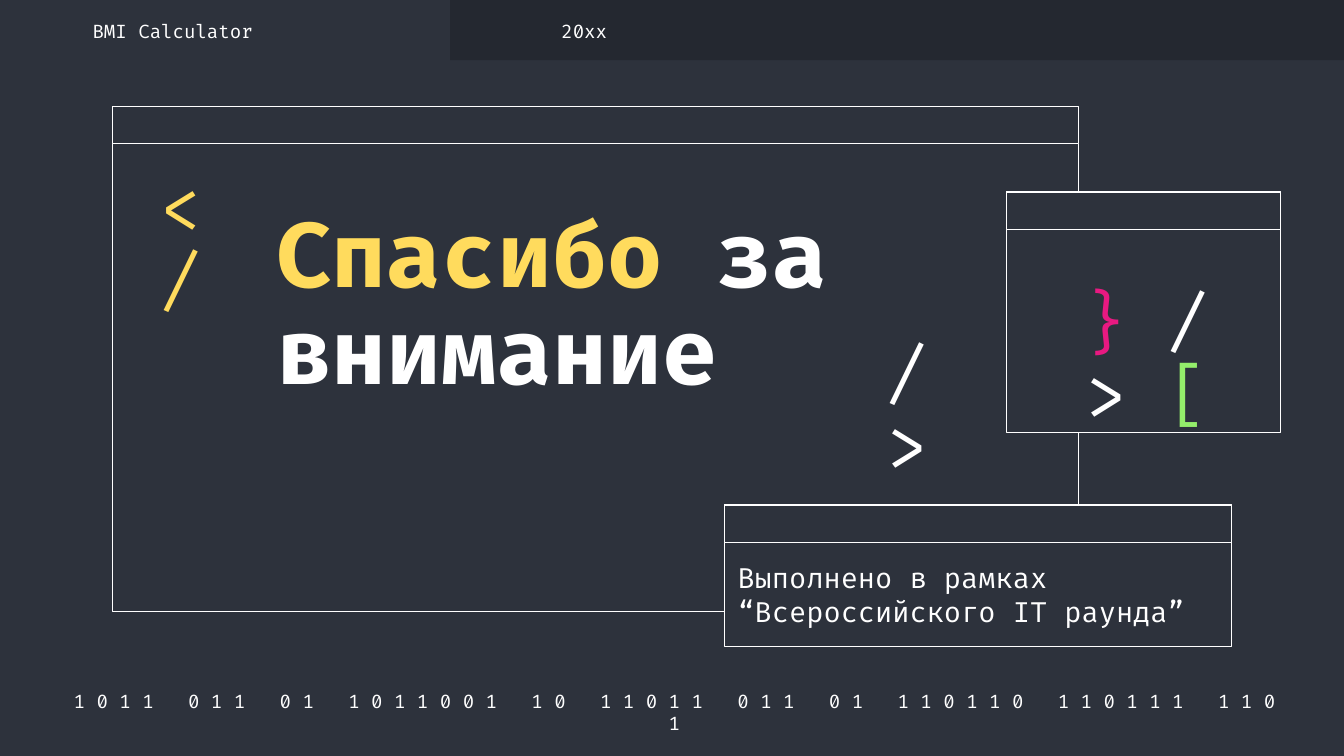
from pptx import Presentation
from pptx.dml.color import RGBColor
from pptx.enum.shapes import MSO_SHAPE
from pptx.enum.text import MSO_ANCHOR, PP_ALIGN
from pptx.util import Cm, Pt

RECT = MSO_SHAPE.RECTANGLE
TOP, MIDDLE = MSO_ANCHOR.TOP, MSO_ANCHOR.MIDDLE
LEFT, CENTER = PP_ALIGN.LEFT, PP_ALIGN.CENTER

DARK = RGBColor(0x2D, 0x32, 0x3C)
DARKER = RGBColor(0x24, 0x28, 0x30)
WHITE = RGBColor(0xFF, 0xFF, 0xFF)
YELLOW = RGBColor(0xFF, 0xDB, 0x5D)
PINK = RGBColor(0xE8, 0x19, 0x81)
GREEN = RGBColor(0x94, 0xEE, 0x6B)

FONT = "Fira Code"
INSET = 0.25
BAR_H = 0.71

HEADER = (8.51, 0, 16.89, 1.14)
WINDOWS = [
    (2.13, 2.01, 18.26, 9.55),
    (13.69, 9.55, 9.58, 2.67),
    (19.02, 3.63, 5.18, 4.55),
]
BITS = "1011 011 01 1011001 10 11011 011 01 110110 110111 1101".split()
BIT_LINE = "   ".join(" ".join(group) for group in BITS)

LABEL = {"size": 10}
FOOTER = {"size": 10, "align": CENTER}
SYMBOL = {"size": 36, "spacing": 0.9}
SYMBOLS = {"size": 36, "spacing": 0.9, "align": CENTER, "anchor": TOP}
TITLE = {"size": 48, "spacing": 0.9, "bold": True, "anchor": TOP}
SUBTITLE = {"size": 15}

TEXTS = [
    ((0.97, 13.21, 23.55, 0.51), FOOTER, [(BIT_LINE, WHITE)]),
    ((2.79, 3.84, 1.96, 1.68), SYMBOL, [("</", YELLOW)]),
    ((16.51, 6.96, 1.96, 1.68), SYMBOL, [("/>", WHITE)]),
    ((19.99, 5.21, 3.38, 2.08), SYMBOLS,
     [("}", PINK), (" /> ", WHITE), ("[", GREEN)]),
    ((4.98, 3.73, 11.56, 4.62), TITLE,
     [("Спасибо ", YELLOW), ("за внимание", WHITE)]),
    ((13.69, 10.26, 9.58, 1.96), SUBTITLE,
     [("Выполнено в рамках “Всероссийского IT раунда”", WHITE)]),
    ((1.5, 0.33, 5.56, 0.51), LABEL, [("BMI Calculator", WHITE)]),
    ((10.36, 0.33, 5.56, 0.51), LABEL, [("20хx", WHITE)]),
]


def add_rect(s, box, fill, line=None):
    sp = s.shapes.add_shape(RECT, *map(Cm, box))
    sp.shadow.inherit = False
    sp.fill.solid()
    sp.fill.fore_color.rgb = fill
    if line is None:
        sp.line.fill.background()
    else:
        sp.line.color.rgb = line
        sp.line.width = Pt(0.75)


def add_window(s, box):
    x, y, w, h = box
    for height in (h, BAR_H):
        add_rect(s, (x, y, w, height), DARK, WHITE)


def add_text(s, box, style, runs):
    tf = s.shapes.add_textbox(*map(Cm, box)).text_frame
    frame = {"word_wrap": True, "vertical_anchor": style.get("anchor", MIDDLE)}
    for side in ("left", "top", "right", "bottom"):
        frame[f"margin_{side}"] = Cm(INSET)
    for name, value in frame.items():
        setattr(tf, name, value)
    p = tf.paragraphs[0]
    p.alignment = style.get("align", LEFT)
    p.line_spacing = style.get("spacing", 1.0)
    font = {"name": FONT, "size": Pt(style["size"]), "bold": style.get("bold", False)}
    for text, color in runs:
        r = p.add_run()
        r.text = text
        for name, value in font.items():
            setattr(r.font, name, value)
        r.font.color.rgb = color


def main():
    prs = Presentation()
    prs.slide_width, prs.slide_height = Cm(25.4), Cm(14.29)
    s = prs.slides.add_slide(prs.slide_layouts[6])
    s.background.fill.solid()
    s.background.fill.fore_color.rgb = DARK
    add_rect(s, HEADER, DARKER)
    for box in WINDOWS:
        add_window(s, box)
    for box, style, runs in TEXTS:
        add_text(s, box, style, runs)
    prs.save("out.pptx")


if __name__ == "__main__":
    main()
